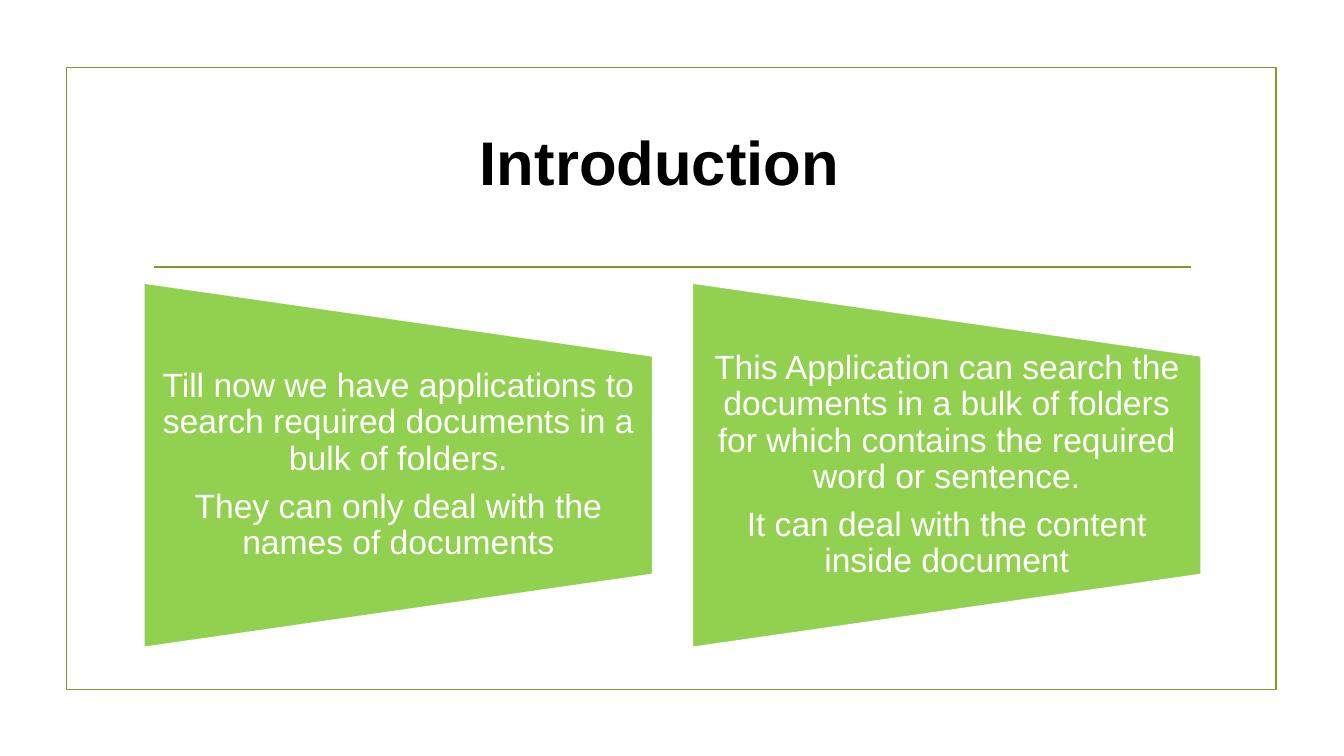
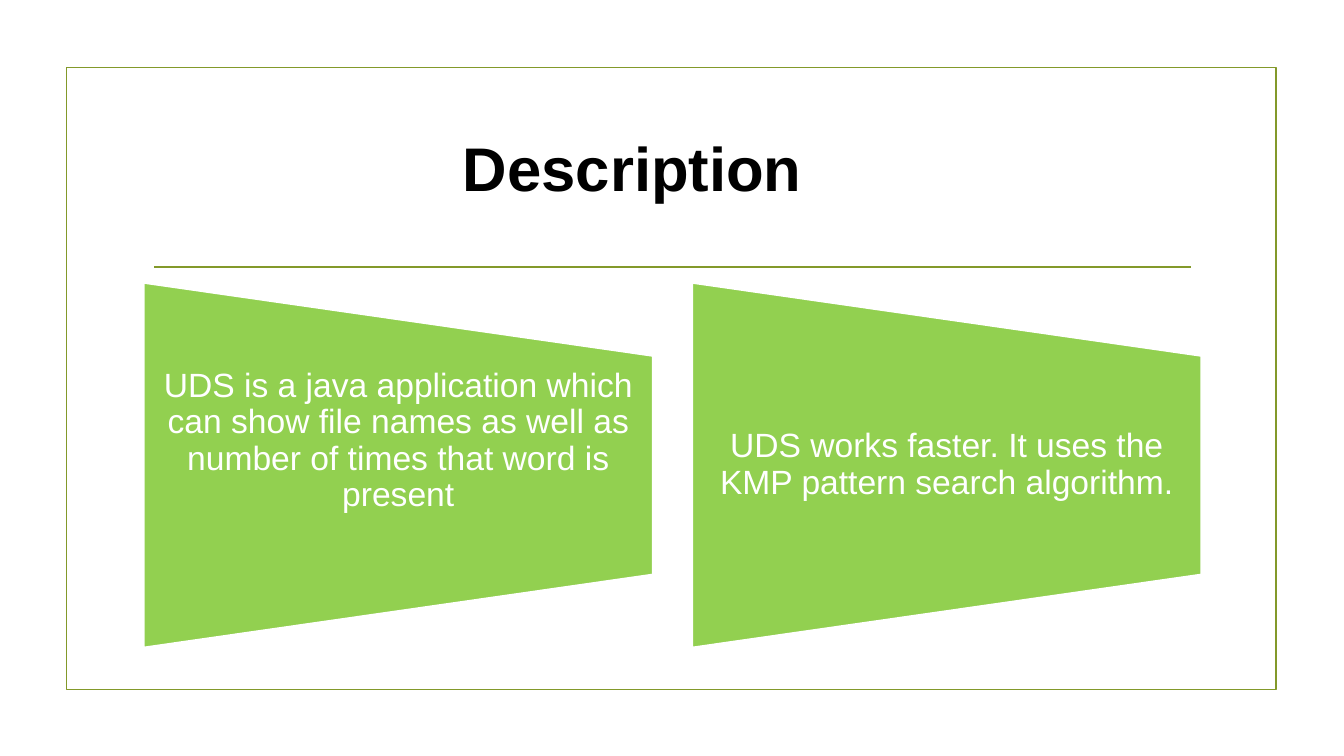
from lxml import etree
from pptx import Presentation
from pptx.dml.color import RGBColor
from pptx.enum.shapes import MSO_CONNECTOR, MSO_SHAPE
from pptx.enum.text import MSO_ANCHOR, MSO_AUTO_SIZE, PP_ALIGN
from pptx.oxml.ns import qn
from pptx.util import Inches, Pt

# Content: title, its frame, and two panels (paragraphs, lift of the text)
SLIDES = [
    {
        "title": "Introduction",
        "title_at": (4.76, 1.02, 6.52, 1.25),
        "panels": [
            (["Till now we have applications to search required documents in a bulk of folders.",
              "They can only deal with the names of documents"], 0),
            (["This Application can search the documents in a bulk of folders for which "
              "contains the required word or sentence.",
              "It can deal with the content inside document"], 0),
        ],
    },
    {
        "title": "Description",
        "title_at": (4.59, 1.11, 3.85, 1.18),
        "panels": [
            (["UDS is a java application which can show file names as well as number of "
              "times that word is present"], 0.48),
            (["UDS works faster. It uses the KMP pattern search algorithm."], 0),
        ],
    },
]

# Shared style
FONT = "Arial"
OLIVE = RGBColor(0x83, 0x99, 0x2A)
GREEN = RGBColor(0x92, 0xD0, 0x50)
WHITE = RGBColor(0xFF, 0xFF, 0xFF)
BLACK = RGBColor(0x00, 0x00, 0x00)

# Panel geometry in inches
PANEL_LEFT, PANEL_TOP = 1.42, 2.8
PANEL_WIDTH, PANEL_HEIGHT = 5.06, 3.63
PANEL_STEP = 5.44
TEXT_HEIGHT = 2.18


def inches(*values):
    return [Inches(value) for value in values]


def set_frame(frame, side=0, bottom=0):
    frame.word_wrap = True
    frame.auto_size = MSO_AUTO_SIZE.NONE
    frame.vertical_anchor = MSO_ANCHOR.MIDDLE
    frame.margin_left = frame.margin_right = Inches(side)
    frame.margin_top, frame.margin_bottom = inches(0, bottom)


def write(para, text, size, color, align, bold=False):
    para.alignment = align
    para.line_spacing = 0.9
    span = para.add_run()
    span.text = text
    span.font.name = FONT
    span.font.size = Pt(size)
    span.font.bold = bold
    span.font.color.rgb = color


def add_border(page):
    border = page.shapes.add_shape(MSO_SHAPE.RECTANGLE, *inches(0.66, 0.67, 12, 6.17))
    border.shadow.inherit = False
    border.fill.background()
    rule = page.shapes.add_connector(MSO_CONNECTOR.STRAIGHT, *inches(1.53, 2.65, 11.81, 2.65))
    etree.SubElement(rule._element.spPr, qn("a:effectLst"))
    for outline in (border.line, rule.line):
        outline.color.rgb = OLIVE
        outline.width = Pt(1.25)


def add_title(page, text, place):
    title = page.shapes.title
    title.left, title.top, title.width, title.height = inches(*place)
    set_frame(title.text_frame)
    write(title.text_frame.paragraphs[0], text, 44, BLACK, PP_ALIGN.LEFT, bold=True)


def add_panel(page, left, paragraphs, lift):
    # A quarter turn swaps width and height about the same centre
    shift = (PANEL_WIDTH - PANEL_HEIGHT) / 2
    panel = page.shapes.add_shape(
        MSO_SHAPE.FLOWCHART_MANUAL_OPERATION,
        *inches(left + shift, PANEL_TOP - shift, PANEL_HEIGHT, PANEL_WIDTH))
    panel.rotation = 270
    panel.shadow.inherit = False
    panel.fill.solid()
    panel.fill.fore_color.rgb = GREEN
    panel.line.color.rgb = WHITE
    panel.line.width = Pt(2)

    # Upright text over the turned shape
    text_top = PANEL_TOP + (PANEL_HEIGHT - TEXT_HEIGHT) / 2
    box = page.shapes.add_textbox(*inches(left, text_top, PANEL_WIDTH, TEXT_HEIGHT))
    frame = box.text_frame
    set_frame(frame, side=0.17, bottom=lift)
    for index, text in enumerate(paragraphs):
        para = frame.add_paragraph() if index else frame.paragraphs[0]
        para.space_after = Pt(8.4)
        write(para, text, 24, WHITE, PP_ALIGN.CENTER)


def main():
    deck = Presentation()
    deck.slide_width, deck.slide_height = inches(13.33, 7.5)
    for content in SLIDES:
        page = deck.slides.add_slide(deck.slide_layouts[5])
        add_border(page)
        add_title(page, content["title"], content["title_at"])
        for column, (paragraphs, lift) in enumerate(content["panels"]):
            add_panel(page, PANEL_LEFT + column * PANEL_STEP, paragraphs, lift)
    deck.save("out.pptx")


if __name__ == "__main__":
    main()
